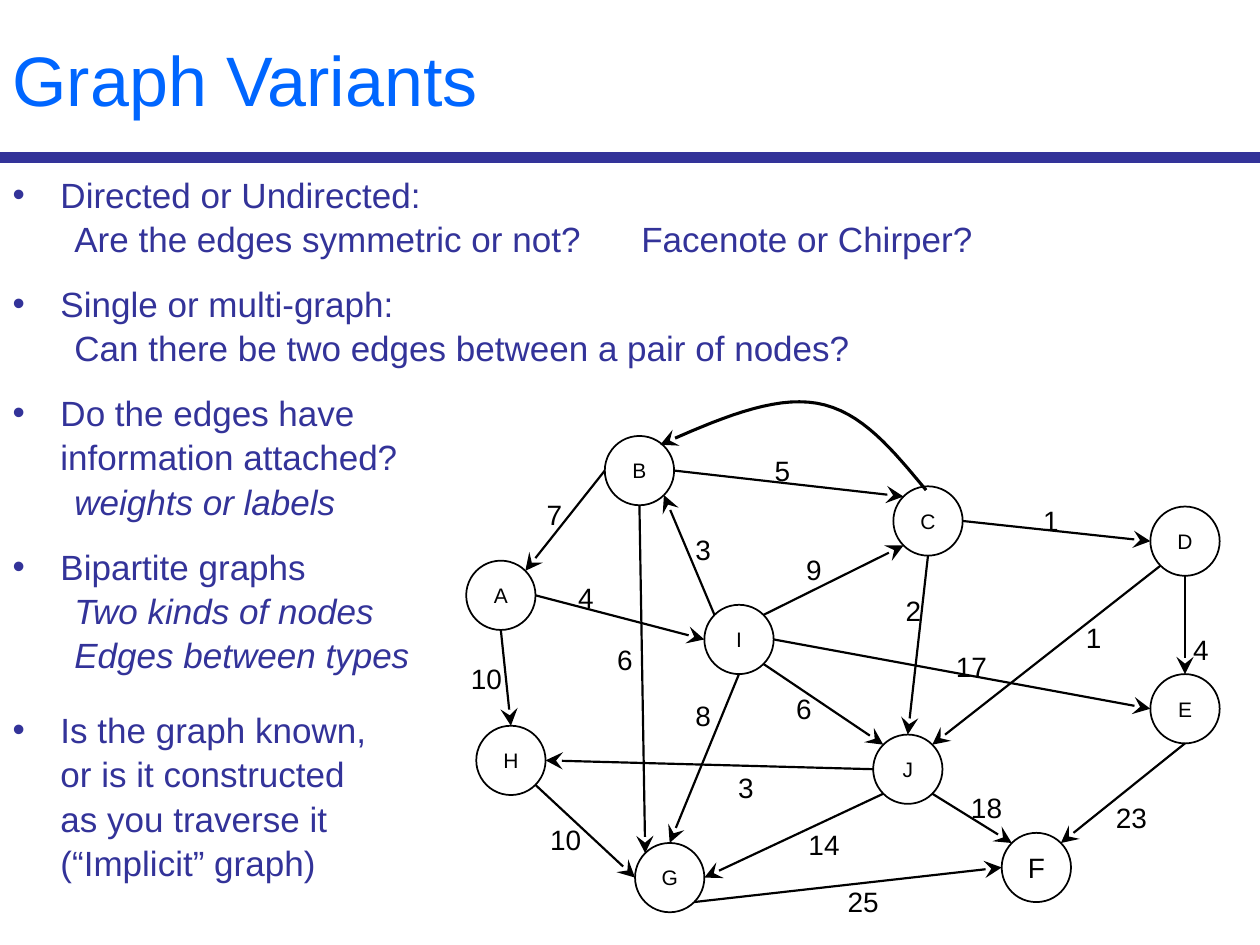
from lxml.etree import SubElement
from pptx import Presentation
from pptx.dml.color import RGBColor
from pptx.enum.shapes import MSO_CONNECTOR, MSO_SHAPE
from pptx.enum.text import MSO_ANCHOR, MSO_AUTO_SIZE, PP_ALIGN
from pptx.oxml.ns import qn
from pptx.util import Inches, Pt

BLUE = RGBColor(0x00, 0x66, 0xFF)
NAVY = RGBColor(0x33, 0x33, 0x99)
BLACK = RGBColor(0, 0, 0)
WHITE = RGBColor(0xFF, 0xFF, 0xFF)
FONT = "Arial"
WIDTH, HEIGHT, TITLE_H = 10, 7.5, 1.25
NODE = 0.55
DIAGONAL = 0.707

TITLE = "Graph Variants"
# (level, space before in points, italic, lines)
BODY = [
    (0, 4, False, ["Directed or Undirected:"]),
    (1, 0, False, ["Are the edges symmetric or not?\tFacenote or Chirper?"]),
    (0, 12, False, ["Single or multi-graph:"]),
    (1, 0, False, ["Can there be two edges between a pair of nodes?"]),
    (0, 12, False, ["Do the edges have", "information attached?"]),
    (1, 0, True, ["weights or labels"]),
    (0, 12, False, ["Bipartite graphs"]),
    (1, 0, True, ["Two kinds of nodes", "Edges between types"]),
    (0, 18, False, ["Is the graph known,", "or is it constructed",
                    "as you traverse it", "(“Implicit” graph)"]),
]
# Name: left, top, text size
NODES = {
    "A": (3.7, 4.45, 12), "B": (4.8, 3.46, 12), "C": (7.09, 3.86, 12),
    "D": (9.13, 4.02, 12), "E": (9.13, 5.35, 12), "F": (7.95, 6.61, 16),
    "G": (5.04, 6.69, 12), "H": (3.78, 5.76, 12), "I": (5.59, 4.8, 12),
    "J": (6.93, 5.83, 12),
}
# Compass points on a node's rim, as shares of its radius
RIM = {
    "N": (0, -1), "S": (0, 1), "W": (-1, 0), "E": (1, 0),
    "NW": (-DIAGONAL, -DIAGONAL), "NE": (DIAGONAL, -DIAGONAL),
    "SW": (-DIAGONAL, DIAGONAL), "SE": (DIAGONAL, DIAGONAL),
}
# From node, its rim point, to node, its rim point, weight, weight's centre
EDGES = [
    ("A", "S", "H", "N", "10", (3.86, 5.38)),
    ("B", "W", "A", "NE", "7", (4.4, 4.08)),
    ("I", "E", "E", "W", "17", (7.71, 5.29)),
    ("I", "NW", "B", "SE", "3", (5.58, 4.36)),
    ("I", "NE", "C", "SW", "9", (6.46, 4.52)),
    ("C", "E", "D", "W", "1", (8.34, 4.13)),
    ("D", "S", "E", "N", "4", (9.53, 5.15)),
    ("D", "SW", "J", "NE", "1", (8.68, 5.06)),
    ("C", "S", "J", "N", "2", (7.25, 4.84)),
    ("I", "SE", "J", "NW", "6", (6.38, 5.62)),
    ("J", "W", "H", "E", "3", (5.92, 6.25)),
    ("B", "S", "G", "NW", "6", (4.96, 5.23)),
    ("H", "SE", "G", "W", "10", (4.49, 6.66)),
    ("I", "S", "G", "N", "8", (5.58, 5.68)),
    ("J", "SW", "G", "E", "14", (6.54, 6.7)),
    ("G", "SE", "F", "W", "25", (6.85, 7.15)),
    ("E", "S", "F", "NE", "23", (8.98, 6.49)),
    ("J", "SE", "F", "NW", "18", (7.83, 6.41)),
    ("B", "E", "C", "NW", "5", (6.21, 3.73)),
    ("A", "E", "I", "W", "4", (4.65, 4.74)),
]
# The second edge between B and C: cubic Bézier segments
CURVE = [
    [(7.35, 3.89), (7.09, 3.58), (6.84, 3.26), (6.48, 3.2)],
    [(6.48, 3.2), (6.13, 3.14), (5.69, 3.33), (5.24, 3.53)],
]
STEPS = 16


def place(sp, left, top, width, height):
    sp.left, sp.top = Inches(left), Inches(top)
    sp.width, sp.height = Inches(width), Inches(height)


def add_run(p, text, size, color, italic=False):
    r = p.add_run()
    r.text = text
    r.font.name, r.font.size, r.font.italic = FONT, Pt(size), italic
    r.font.color.rgb = color


def add_line(start, end, color, width):
    line = shapes.add_connector(MSO_CONNECTOR.STRAIGHT, *map(Inches, start + end))
    line.line.color.rgb, line.line.width = color, Pt(width)
    SubElement(line._element.spPr, qn("a:effectLst"))
    return line


def add_arrowhead(sp):
    SubElement(sp.line._get_or_add_ln(), qn("a:tailEnd"), type="stealth", w="lg", len="lg")


def centre_text(sp, text, size):
    tf = sp.text_frame
    tf.margin_left = tf.margin_right = tf.margin_top = tf.margin_bottom = 0
    tf.vertical_anchor = MSO_ANCHOR.MIDDLE
    p = tf.paragraphs[0]
    p.alignment = PP_ALIGN.CENTER
    add_run(p, text, size, BLACK)


def rim_point(name, side):
    left, top, _ = NODES[name]
    dx, dy = RIM[side]
    return left + NODE / 2 * (1 + dx), top + NODE / 2 * (1 + dy)


def bezier(points, t):
    weights = (1 - t) ** 3, 3 * t * (1 - t) ** 2, 3 * t * t * (1 - t), t ** 3
    return tuple(sum(w * v for w, v in zip(weights, axis)) for axis in zip(*points))


def add_paragraph(p, level, before, italic, lines):
    p.level, p.alignment = level, PP_ALIGN.LEFT
    p.line_spacing, p.space_before = 1.05, Pt(before)
    pPr = p._p.get_or_add_pPr()
    pPr.set("marL", str(Inches(0.49 if level else 0.38)))
    pPr.set("indent", str(0 if level else -Inches(0.38)))
    if level:
        SubElement(pPr, qn("a:buNone"))
    else:
        SubElement(pPr, qn("a:buChar"), char="•")
    if "\t" in lines[0]:
        tabs = SubElement(pPr, qn("a:tabLst"))
        SubElement(tabs, qn("a:tab"), pos=str(Inches(4.83)), algn="l")
    for i, text in enumerate(lines):
        if i:
            p.add_line_break()
        add_run(p, text, 20, NAVY, italic)


prs = Presentation()
prs.slide_width, prs.slide_height = Inches(WIDTH), Inches(HEIGHT)
s = prs.slides.add_slide(prs.slide_layouts[1])
shapes = s.shapes

title, body = shapes.title, s.placeholders[1]
place(title, 0, 0, WIDTH, TITLE_H)
title.text_frame.vertical_anchor = MSO_ANCHOR.MIDDLE
p = title.text_frame.paragraphs[0]
p.alignment = PP_ALIGN.LEFT
add_run(p, TITLE, 40, BLUE)

place(body, 0, 1.31, WIDTH, HEIGHT - 1.31)
tf = body.text_frame
tf.auto_size = MSO_AUTO_SIZE.NONE
for i, item in enumerate(BODY):
    add_paragraph(tf.add_paragraph() if i else tf.paragraphs[0], *item)

add_line((0, TITLE_H), (WIDTH, TITLE_H), NAVY, 6)

for name, (left, top, size) in NODES.items():
    sp = shapes.add_shape(MSO_SHAPE.OVAL, *map(Inches, (left, top, NODE, NODE)))
    sp.shadow.inherit = False
    sp.fill.solid()
    sp.fill.fore_color.rgb = WHITE
    sp.line.color.rgb, sp.line.width = BLACK, Pt(1)
    sp.text_frame.word_wrap = False
    centre_text(sp, name, size)

for tail, tail_side, head, head_side, weight, (x, y) in EDGES:
    add_arrowhead(add_line(rim_point(tail, tail_side), rim_point(head, head_side), BLACK, 1.25))
    w, h = 0.15 + 0.16 * len(weight), 0.37
    label = shapes.add_textbox(*map(Inches, (x - w / 2, y - h / 2, w, h)))
    label.text_frame.word_wrap = True
    centre_text(label, weight, 16)

points = [bezier(seg, i / STEPS) for seg in CURVE for i in range(STEPS + 1)]
start, *rest = [(Inches(x), Inches(y)) for x, y in points]
builder = shapes.build_freeform(*start)
builder.add_line_segments(rest, close=False)
arc = builder.convert_to_shape()
arc.shadow.inherit = False
arc.fill.background()
arc.line.color.rgb, arc.line.width = BLACK, Pt(1.75)
add_arrowhead(arc)

prs.save("out.pptx")
